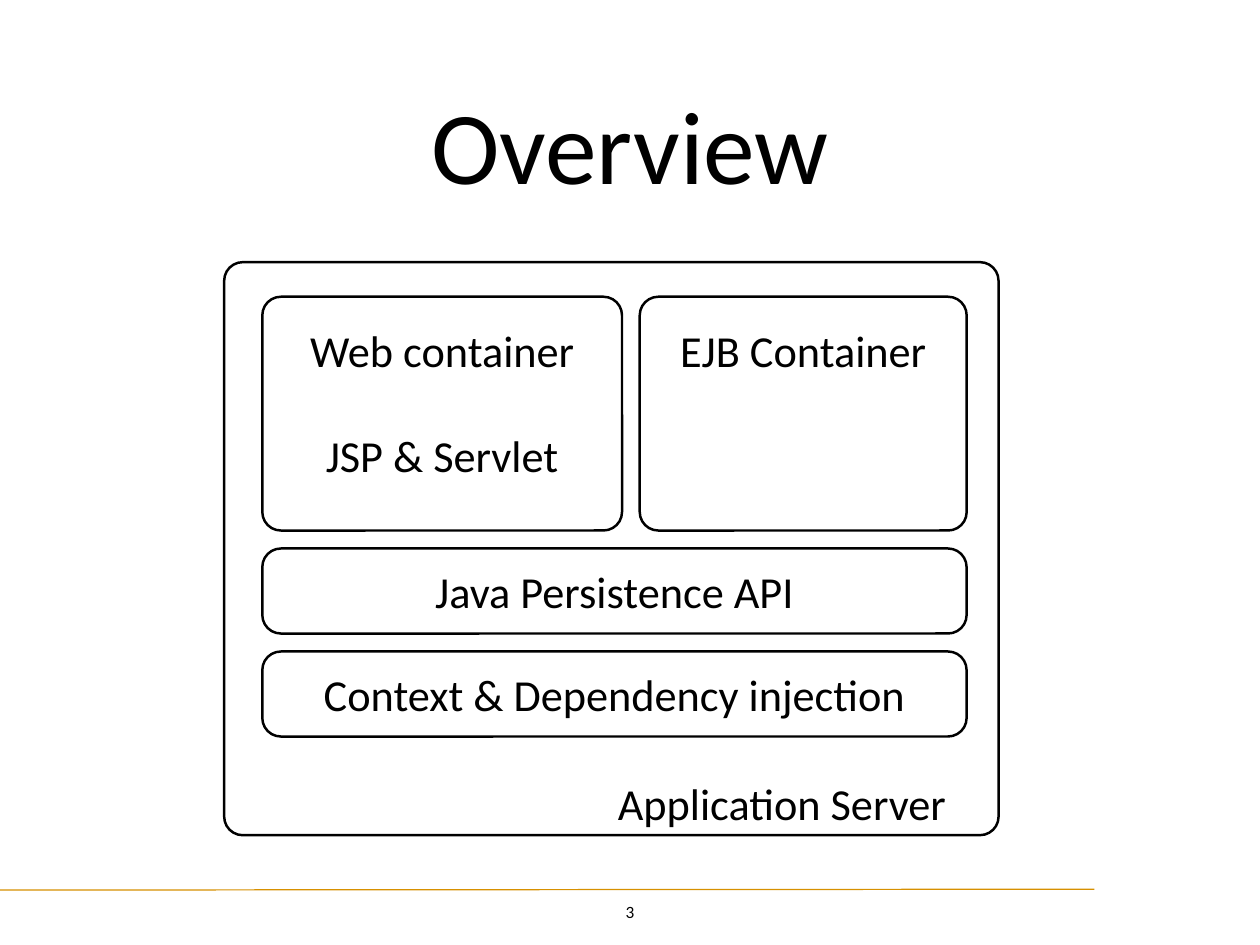
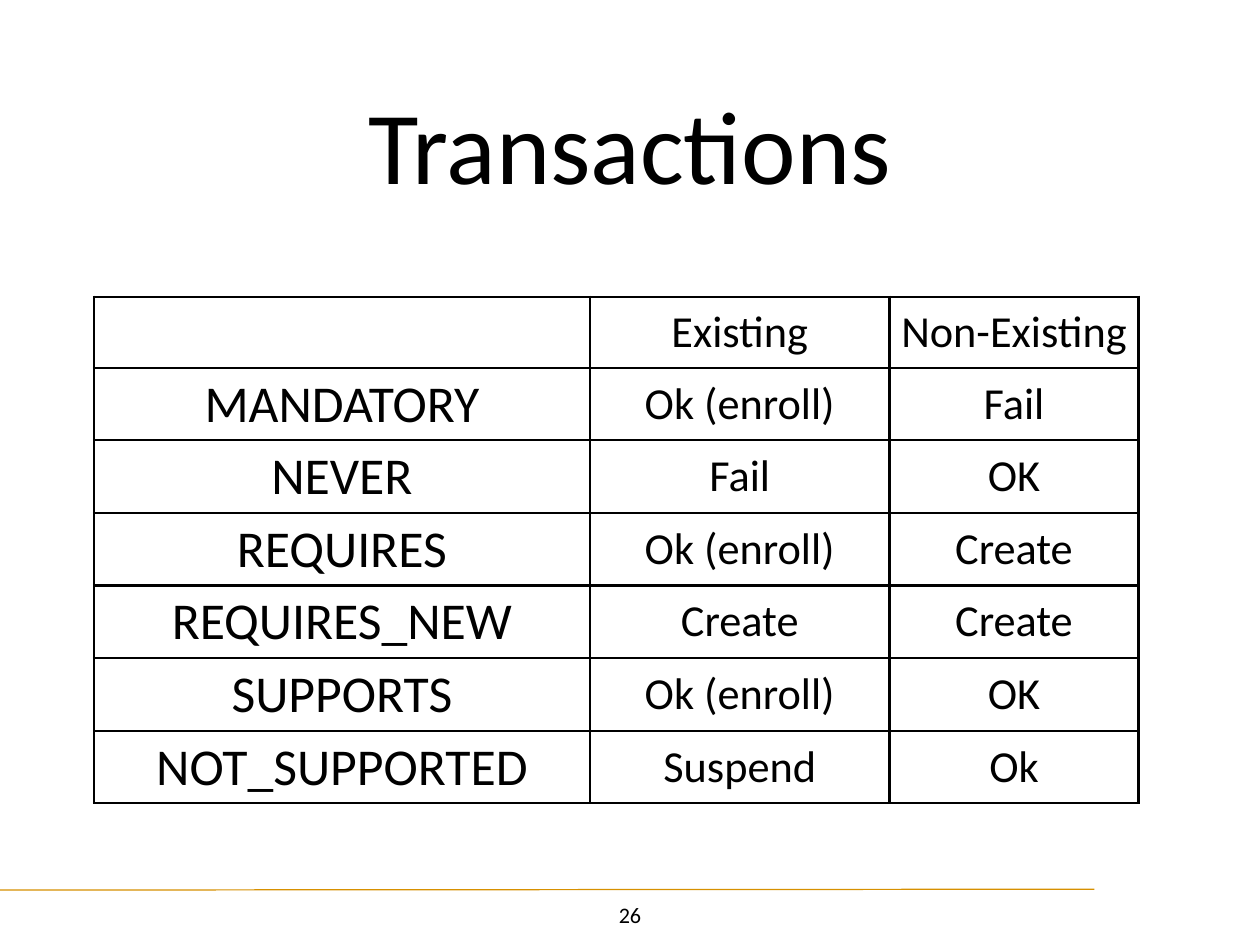
from dataclasses import dataclass

from lxml import etree
from pptx import Presentation
from pptx.dml.color import RGBColor
from pptx.enum.shapes import MSO_CONNECTOR, MSO_SHAPE
from pptx.enum.text import MSO_ANCHOR, MSO_AUTO_SIZE, PP_ALIGN
from pptx.oxml.ns import qn
from pptx.util import Inches, Pt

CENTER, RIGHT = PP_ALIGN.CENTER, PP_ALIGN.RIGHT
TOP, MIDDLE, BOTTOM = MSO_ANCHOR.TOP, MSO_ANCHOR.MIDDLE, MSO_ANCHOR.BOTTOM
FIT, FIXED = MSO_AUTO_SIZE.SHAPE_TO_FIT_TEXT, MSO_AUTO_SIZE.NONE
ROUND, STRAIGHT = MSO_SHAPE.ROUNDED_RECTANGLE, MSO_CONNECTOR.STRAIGHT

WIDE, HIGH = 14.22, 10.67


@dataclass(frozen=True)
class Theme:
    font: str = "Calibri"
    ink: str = "000000"
    gold: str = "D79000"
    title: int = 84
    key: int = 42
    body: int = 36
    stroke: int = 2
    thin: int = 1
    inset: float = 0.06
    curve: float = 0.21


THEME = Theme()


# Lengths as percent of the slide
def across(share):
    return Inches(WIDE * share / 100)


def down(share):
    return Inches(HIGH * share / 100)


def place(x, y, w, h):
    return across(x), down(y), across(w), down(h)


# Text
def style(par, size, align=CENTER):
    par.alignment = align
    par.font.size = Pt(size)
    par.font.name = THEME.font
    par.font.color.rgb = RGBColor.from_string(THEME.ink)


def pad(box, left=THEME.inset, top=THEME.inset, right=THEME.inset, bottom=THEME.inset):
    box.margin_left, box.margin_top = Inches(left), Inches(top)
    box.margin_right, box.margin_bottom = Inches(right), Inches(bottom)


def write(frame, lines, size, align=CENTER, gap=0):
    frame.text = "\n".join(lines)
    for par in frame.paragraphs:
        style(par, size, align)
    for par in frame.paragraphs[1:]:
        par.space_before = Pt(gap)


# Shared parts
def add_page(deck, title, number, size):
    slide = deck.slides.add_slide(deck.slide_layouts[5])
    head = slide.shapes.title
    head.left, head.top, head.width, head.height = place(9.77, 2.62, 80.45, 25)
    frame = head.text_frame
    write(frame, [title], THEME.title)
    pad(frame)
    frame.word_wrap, frame.auto_size = True, FIXED
    frame.vertical_anchor = MIDDLE

    # Page number, centred, with a little more room than its digits need
    w = 2 * THEME.inset + len(number) * 0.6 * size / 72
    h = 2 * THEME.inset + 1.2 * size / 72
    note = slide.shapes.add_textbox(
        Inches((WIDE - w) / 2), Inches(10.12), Inches(w), Inches(h))
    write(note.text_frame, [number], size)
    pad(note.text_frame)
    note.text_frame.word_wrap, note.text_frame.auto_size = False, FIT
    return slide


def add_rule(slide):
    """Draw the footer line once and move it to the shared layout."""
    rule = slide.shapes.add_connector(
        STRAIGHT, across(-2.74), down(94.19), across(86.85), down(94.1))
    rule.line.color.rgb = RGBColor.from_string(THEME.gold)
    rule.line.width = Pt(THEME.thin)
    etree.SubElement(rule.element.spPr, qn("a:effectLst"))
    slide.slide_layout.shapes.element.append(rule.element)


# Diagram
def add_block(slide, x, y, w, h, lines, anchor=MIDDLE, align=CENTER, gap=0, **pads):
    block = slide.shapes.add_shape(ROUND, *place(x, y, w, h))
    block.adjustments[0] = Inches(THEME.curve) / min(block.width, block.height)
    block.shadow.inherit = False
    block.fill.background()
    block.line.color.rgb = RGBColor.from_string(THEME.ink)
    block.line.width = Pt(THEME.stroke)
    frame = block.text_frame
    write(frame, lines, THEME.body, align, gap)
    pad(frame, **pads)
    frame.word_wrap, frame.vertical_anchor = True, anchor


def draw_server(slide):
    left, top, gap, space = 20.82, 31.4, 1.4, 1.9
    web, ejb, tall, low = 28.55, 25.95, 24.74, 9
    add_block(slide, 17.79, 27.74, 61.46, 60.64, ["Application Server"],
              BOTTOM, RIGHT, right=0.53, bottom=0)

    # Two containers side by side
    x = left
    for w, lines in ((web, ["Web container", "JSP & Servlet"]),
                     (ejb, ["EJB Container"])):
        add_block(slide, x, top, w, tall, lines, TOP, gap=42, top=0.24)
        x += w + gap

    # Full-width layers below them
    y = top + tall + space
    for name in ("Java Persistence API", "Context & Dependency injection"):
        add_block(slide, left, y, web + gap + ejb, low, [name])
        y += low + space


# Table
def edge(cell):
    props = cell._tc.get_or_add_tcPr()
    for i, side in enumerate(("lnL", "lnR", "lnT", "lnB")):
        line = etree.Element(qn("a:" + side), w=str(Pt(THEME.stroke)))
        fill = etree.SubElement(line, qn("a:solidFill"))
        etree.SubElement(fill, qn("a:srgbClr"), val=THEME.ink)
        props.insert(i, line)


def add_grid(slide, x, y, widths, high, rows):
    spot = place(x, y, sum(widths), high * len(rows))
    grid = slide.shapes.add_table(len(rows), len(widths), *spot).table
    grid.first_row = grid.horz_banding = False
    for col, w in zip(grid.columns, widths):
        col.width = across(w)
    for r, row in enumerate(rows):
        grid.rows[r].height = down(high)
        for c, text in enumerate(row):
            cell = grid.cell(r, c)
            size = THEME.body if c or not r else THEME.key
            write(cell.text_frame, [text], size)
            pad(cell)
            cell.vertical_anchor = MIDDLE
            cell.fill.background()
            edge(cell)


def main():
    deck = Presentation()
    deck.slide_width, deck.slide_height = Inches(WIDE), Inches(HIGH)

    server = add_page(deck, "Overview", "3", 14)
    add_rule(server)
    draw_server(server)

    rules = add_page(deck, "Transactions", "26", 18)
    add_grid(rules, 7.45, 31.4, (39.38, 23.77, 19.76), 7.5, (
        ("", "Existing", "Non-Existing"),
        ("MANDATORY", "Ok (enroll)", "Fail"),
        ("NEVER", "Fail", "OK"),
        ("REQUIRES", "Ok (enroll)", "Create"),
        ("REQUIRES_NEW", "Create", "Create"),
        ("SUPPORTS", "Ok (enroll)", "OK"),
        ("NOT_SUPPORTED", "Suspend", "Ok"),
    ))
    deck.save("out.pptx")


main()
